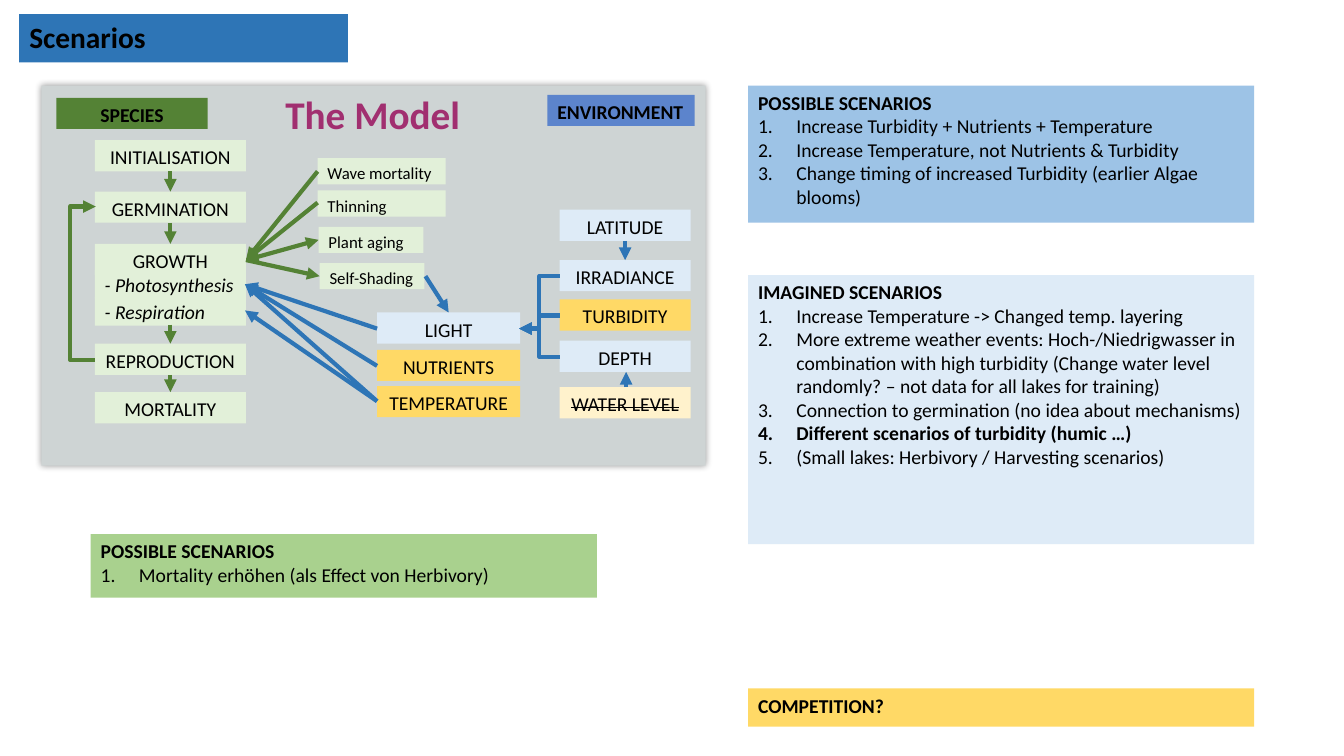
from lxml.etree import SubElement
from pptx import Presentation
from pptx.dml.color import RGBColor
from pptx.enum.shapes import MSO_CONNECTOR as LINK, MSO_SHAPE as FORM
from pptx.enum.text import MSO_ANCHOR as ANCHOR, MSO_AUTO_SIZE as FIT, PP_ALIGN as ALIGN
from pptx.oxml.ns import qn
from pptx.util import Inches, Pt

MOSS, LEAF, BLUE, PALE, GOLD = "548235", "E2F0D9", "2E75B6", "DEEBF7", "FFD966"
hue = RGBColor.from_string

deck = Presentation()
deck.slide_width, deck.slide_height = Inches(13.33), Inches(7.5)
slide = deck.slides.add_slide(deck.slide_layouts[5])
shapes = slide.shapes


def box(at, fill, text="", size=14, bold=False, align=ALIGN.LEFT, color="000000", shape=None):
    """Place a flat box with text, filled unless fill is None, and return it."""
    left, top, width, height = (Inches(n) for n in at)
    if shape is None:
        shape = shapes.add_shape(FORM.RECTANGLE, left, top, width, height)
        shape.shadow.inherit = False
    shape.left, shape.top, shape.width, shape.height = left, top, width, height
    shape.line.fill.background()
    if fill:
        shape.fill.solid()
        shape.fill.fore_color.rgb = hue(fill)
    else:
        shape.fill.background()
    frame = shape.text_frame
    frame.text = text
    frame.word_wrap = True
    frame.auto_size = FIT.NONE
    frame.vertical_anchor = ANCHOR.TOP
    for para in frame.paragraphs:
        para.alignment = align
        para.line_spacing = 1.0
        for run in para.runs:
            font = run.font
            font.name, font.size, font.bold = "Calibri", Pt(size), bold
            font.color.rgb = hue(color)
    return shape


def arrow(start, end, color, kind=LINK.STRAIGHT, both=False):
    """Draw an arrow from start to end, with a head at both ends if asked."""
    link = shapes.add_connector(kind, *(Inches(n) for n in start + end))
    link.line.color.rgb = hue(color)
    link.line.width = Pt(3)
    edge = link.line._get_or_add_ln()
    for tag in ["a:headEnd", "a:tailEnd"] if both else ["a:tailEnd"]:
        SubElement(edge, qn(tag), type="triangle")
    SubElement(link._element.spPr, qn("a:effectLst"))
    return link


# Title
box((0.19, 0.14, 3.26, 0.48), BLUE, "Scenarios", 21, True, shape=shapes.title)

# Scenario lists: heading, numbered items, the item in bold
lists = [
    ((7.42, 0.85, 5.02, 1.36), "9DC3E6", None, [
        "POSSIBLE SCENARIOS",
        "Increase Turbidity + Nutrients + Temperature",
        "Increase Temperature, not Nutrients & Turbidity",
        "Change timing of increased Turbidity (earlier Algae blooms)"]),
    ((7.42, 2.73, 5.02, 2.67), PALE, 4, [
        "IMAGINED SCENARIOS",
        "Increase Temperature -> Changed temp. layering",
        "More extreme weather events: Hoch-/Niedrigwasser in combination with high "
        "turbidity (Change water level randomly? – not data for all lakes for training)",
        "Connection to germination (no idea about mechanisms)",
        "Different scenarios of turbidity (humic …)",
        "(Small lakes: Herbivory / Harvesting scenarios)"]),
    ((0.9, 5.3, 5.02, 0.63), "A9D18E", None, [
        "POSSIBLE SCENARIOS",
        "Mortality erhöhen (als Effect von Herbivory)"]),
    ((7.42, 6.83, 5.02, 0.38), GOLD, None, ["COMPETITION?"]),
]
for at, fill, strong, lines in lists:
    paras = box(at, fill, "\n".join(lines)).text_frame.paragraphs
    paras[0].runs[0].font.bold = True
    for rank, para in enumerate(paras[1:], 1):
        para.runs[0].font.bold = rank == strong
        props = para._p.get_or_add_pPr()
        props.set("marL", str(Inches(0.38)))
        props.set("indent", str(-Inches(0.38)))
        SubElement(props, qn("a:buFont"), typeface="+mj-lt")
        SubElement(props, qn("a:buAutoNum"), type="arabicPeriod")

# Model panel with a soft shadow
panel = box((0.41, 0.85, 6.59, 3.77), "CED4D4")
glow = SubElement(panel._element.spPr.find(qn("a:effectLst")), qn("a:outerShdw"),
                  blurRad=str(Pt(5)), dist="0", dir="0", algn="ctr", rotWithShape="0")
tint = SubElement(glow, qn("a:srgbClr"), val="000000")
SubElement(tint, qn("a:alpha"), val="40000")
box((2.7, 0.85, 1.99, 0.57), None, "The Model", 28, True, ALIGN.CENTER, "A12F70")
box((0.56, 0.97, 1.5, 0.31), MOSS, "SPECIES", bold=True, align=ALIGN.CENTER)
box((5.43, 0.94, 1.46, 0.31), "5C84CC", "ENVIRONMENT", bold=True)

# Columns of the model: left, width, then top, fill and name of each box
columns = [
    (0.94, 1.5, [(1.39, LEAF, "INITIALISATION"), (1.9, LEAF, "GERMINATION"),
                 (2.42, LEAF, "GROWTH"), (3.41, LEAF, "REPRODUCTION"),
                 (3.89, LEAF, "MORTALITY")]),
    (3.74, 1.42, [(3.1, PALE, "LIGHT"), (3.47, GOLD, "NUTRIENTS"),
                  (3.83, GOLD, "TEMPERATURE")]),
    (5.55, 1.3, [(2.08, PALE, "LATITUDE"), (2.58, PALE, "IRRADIANCE"),
                 (2.97, GOLD, "TURBIDITY"), (3.38, PALE, "DEPTH"),
                 (3.84, "FFF2CC", "WATER LEVEL")]),
]
for left, width, rows in columns:
    for top, fill, name in rows:
        node = box((left, top, width, 0.31), fill, name, align=ALIGN.CENTER)
        if name == "WATER LEVEL":
            node.text_frame.paragraphs[0].runs[0].font._element.set("strike", "sngStrike")

for top, name in [(2.95, "- Respiration"), (2.68, "- Photosynthesis")]:
    part = box((0.94, top, 1.5, 0.28), LEAF, name)
    part.text_frame.vertical_anchor = ANCHOR.MIDDLE
    part.text_frame.paragraphs[0].runs[0].font.italic = True

for left, top, width, name in [(3.15, 1.57, 1.27, "Wave mortality"),
                               (3.15, 1.89, 1.27, "Thinning"),
                               (3.16, 2.25, 1.04, "Plant aging"),
                               (3.17, 2.61, 1.04, "Self-Shading")]:
    box((left, top, width, 0.26), LEAF, name, 12)

# Life cycle
for top, low in [(1.7, 1.9), (2.21, 2.42), (3.22, 3.41), (3.72, 3.89)]:
    arrow((1.69, top), (1.69, low), MOSS)
loop = arrow((0.94, 3.57), (0.95, 2.05), MOSS, LINK.ELBOW)
loop.adjust = None
guides = loop._element.spPr.find(qn("a:prstGeom")).get_or_add_avLst()
SubElement(guides, qn("a:gd"), name="adj1", fmla="val -2500000")

# Processes around growth
grow = (2.44, 2.58)
arrow((3.15, 1.7), grow, MOSS)
arrow((3.15, 2.01), grow, MOSS)
arrow(grow, (3.16, 2.38), MOSS, both=True)
arrow(grow, (3.17, 2.74), MOSS)

# Environment
for start, end in [((3.74, 3.26), (2.43, 2.82)), ((3.74, 3.63), (2.43, 2.82)),
                   ((3.74, 3.98), (2.43, 2.82)), ((3.74, 3.98), (2.43, 3.08)),
                   ((4.22, 2.74), (4.45, 3.1)), ((6.2, 2.39), (6.2, 2.58)),
                   ((6.21, 3.84), (6.21, 3.69))]:
    arrow(start, end, BLUE)
for mid in [2.74, 3.13, 3.54]:
    arrow((5.55, mid), (5.15, 3.26), BLUE, LINK.ELBOW)

deck.save("out.pptx")
